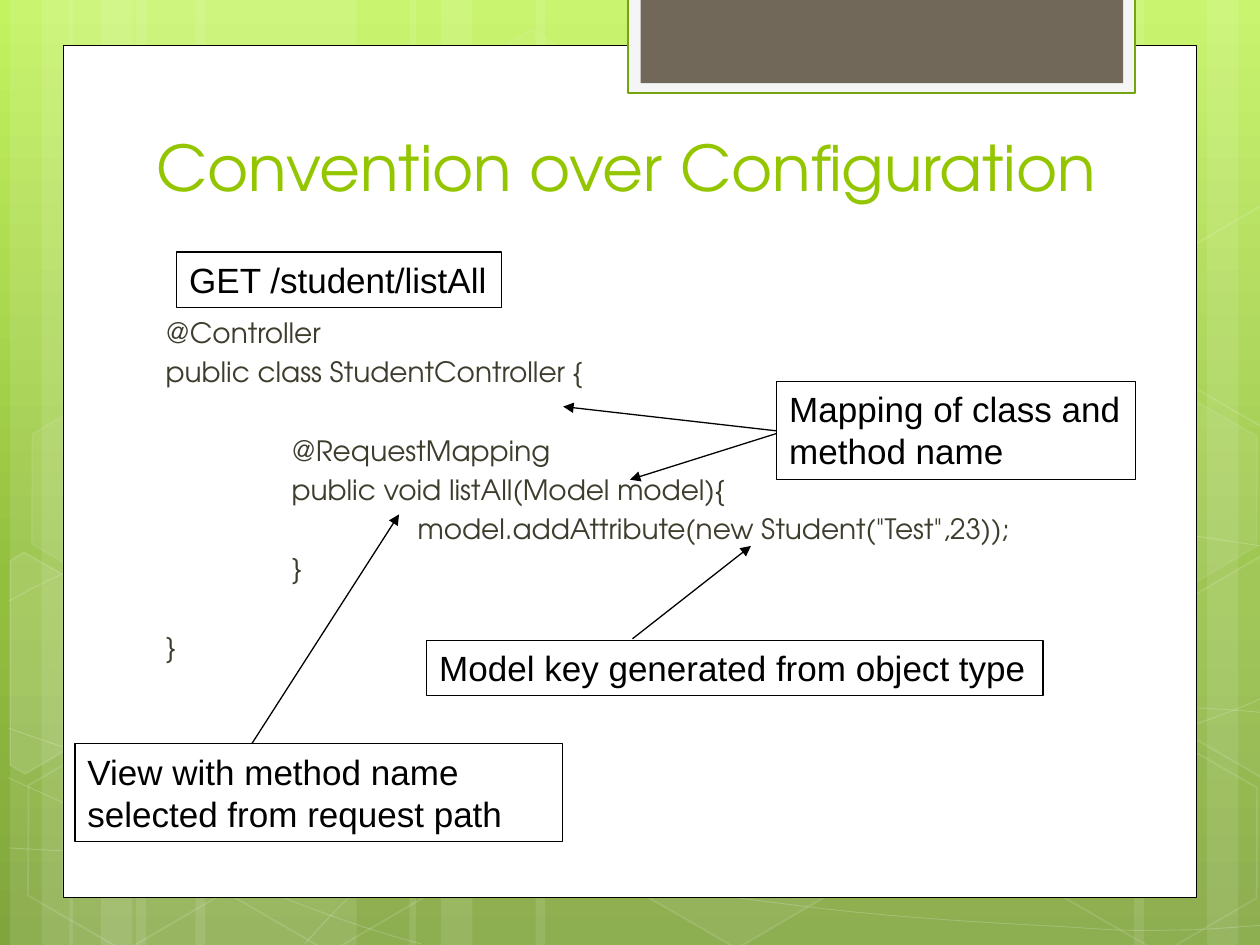
from copy import deepcopy
from math import cos, radians, sin
from typing import NamedTuple

from lxml import etree
from pptx import Presentation
from pptx.dml.color import RGBColor
from pptx.enum.shapes import MSO_CONNECTOR, MSO_SHAPE
from pptx.enum.text import MSO_ANCHOR, PP_ALIGN
from pptx.oxml.ns import qn
from pptx.util import Inches, Pt

RECTANGLE, HEXAGON = MSO_SHAPE.RECTANGLE, MSO_SHAPE.HEXAGON
STRAIGHT = MSO_CONNECTOR.STRAIGHT
LEFT, TOP, BOTTOM = PP_ALIGN.LEFT, MSO_ANCHOR.TOP, MSO_ANCHOR.BOTTOM
WHITE, BLACK = "FFFFFF", "000000"
HEADING_FONT, LABEL_FONT = "TeX Gyre Adventor", "Arial"
TILT = 30

# The slide is a grid of 100 columns and 75 rows
presentation = Presentation()
presentation.slide_width, presentation.slide_height = Inches(10), Inches(7.5)
COLUMN = presentation.slide_width / 100
ROW = presentation.slide_height / 75
slide = presentation.slides.add_slide(presentation.slide_layouts[6])


class Box(NamedTuple):
    column: float
    row: float
    columns: float
    rows: float


class Hexagon(NamedTuple):
    column: float
    row: float
    fill_alpha: int
    line_alpha: int


class CutHexagon(NamedTuple):
    center: tuple
    corners: list
    fill_alpha: int


class Label(NamedTuple):
    box: Box
    lines: list
    wrap: bool = False


class Arrow(NamedTuple):
    start: tuple
    end: tuple


class CodeLine(NamedTuple):
    text: str
    level: int = 0
    skipped: int = 0


def lengths(cells) -> list[int]:
    return [round(n * unit) for n, unit in zip(cells, (COLUMN, ROW) * 2)]


def set_color(color_format, value: str) -> None:
    color_format.rgb = RGBColor.from_string(value)


def paint_fill(fill, parent, color, alpha: int) -> None:
    if not (color and alpha):
        fill.background()
        return
    fill.solid()
    set_color(fill.fore_color, color)
    if alpha < 100:
        color_element = parent.find(qn("a:solidFill")).find(qn("a:srgbClr"))
        etree.SubElement(color_element, qn("a:alpha"), val=str(alpha * 1000))


def paint(shape, fill=None, fill_alpha=100, line=None, width=0.5, line_alpha=100) -> None:
    shape.shadow.inherit = False
    properties = shape._element.spPr
    paint_fill(shape.fill, properties, fill, fill_alpha)
    shape.line.width = Pt(width)
    paint_fill(shape.line.fill, properties.find(qn("a:ln")), line, line_alpha)


def add_box(box: Box, kind=RECTANGLE, **format):
    shape = slide.shapes.add_shape(kind, *lengths(box))
    paint(shape, **format)
    return shape


def add_outline(points: list, closed: bool, **format):
    first, *others = [lengths(point) for point in points]
    builder = slide.shapes.build_freeform(*first)
    builder.add_line_segments(others, close=closed)
    shape = builder.convert_to_shape()
    paint(shape, **format)
    return shape


def bend(shape) -> None:
    """Turn every three straight segments into one Bezier segment."""
    segments = list(shape._element.iter(qn("a:lnTo")))
    for first in range(0, len(segments), 3):
        curve = etree.Element(qn("a:cubicBezTo"))
        segments[first].addprevious(curve)
        for segment in segments[first:first + 3]:
            curve.append(segment[0])
            segment.getparent().remove(segment)


def turn_back(point: tuple, center: tuple) -> tuple:
    x, y = point[0] - center[0], point[1] - center[1]
    c, s = cos(radians(TILT)), sin(radians(TILT))
    return center[0] + x * c + y * s, center[1] - x * s + y * c


def add_text(paragraph, text: str, *, font: str, size: float, color: str,
             before: float = 0, indent: float = 0) -> None:
    paragraph.alignment = LEFT
    paragraph.space_before = Pt(before)
    if indent:
        properties = paragraph._p.get_or_add_pPr()
        properties.set("marL", str(round(indent * COLUMN)))
        properties.set("indent", "0")
    run = paragraph.add_run()
    run.text = text
    run.font.name, run.font.size = font, Pt(size)
    set_color(run.font.color, color)


def add_paragraphs(shape, texts: list, formats: list, anchor=TOP, wrap: bool = True) -> None:
    frame = shape.text_frame
    frame.word_wrap, frame.vertical_anchor = wrap, anchor
    for index, (text, format) in enumerate(zip(texts, formats)):
        add_text(frame.add_paragraph() if index else frame.paragraphs[0], text, **format)


def add_arrow(arrow: Arrow) -> None:
    connector = slide.shapes.add_connector(STRAIGHT, *lengths(arrow.start + arrow.end))
    set_color(connector.line.color, BLACK)
    connector.line.width = Pt(0.75)
    properties = connector._element.spPr
    etree.SubElement(properties.find(qn("a:ln")), qn("a:tailEnd"), type="triangle")
    etree.SubElement(properties, qn("a:effectLst"))


# Background gradient with three stops
background = slide.background.fill
background.gradient()
background.gradient_angle = 270
first_stop = background.gradient_stops[0]._gs
first_stop.addnext(deepcopy(first_stop))
for stop, (position, color) in zip(background.gradient_stops,
                                   ((0, "C3F35F"), (0.62, "93BF3F"), (1, "81A53E"))):
    stop.position = position
    set_color(stop.color, color)

# Translucent vertical stripes: column and width
STRIPES = [(10.8, 17.5), (0.8, 5), (3.3, 8.3), (15.5, 17.5), (5.5, 5), (8, 8.3),
           (73.3, 17.5), (95.8, 5), (90, 8.3), (42.5, 30.8), (32.5, 5), (35, 8.3)]
for column, columns in STRIPES:
    add_box(Box(column, 0, columns, 75), fill=WHITE, fill_alpha=10)

# Fine curves, as Bezier knots
CURVES = [
    [(0.7, 67.3), (6.1, 67.6), (11.5, 67.9), (19, 67.8), (26.5, 67.7), (35.8, 67.5), (45.8, 66.5),
     (55.8, 65.5), (70, 63.6), (79.2, 61.7), (88.3, 59.8), (97.7, 56.8), (100.7, 55.1)],
    [(0.7, 47.7), (3.6, 46.1), (6.5, 44.6), (12.1, 43.1), (17.8, 41.6), (25.9, 39.4), (34.7, 38.7),
     (43.6, 38), (54.4, 37.9), (65.4, 38.7), (76.4, 39.5), (94.7, 42.6), (100.7, 43.4)],
    [(0.6, 61.7), (12.7, 67.2), (24.7, 72.7), (33.4, 74.9)],
    [(0.7, 57.8), (3.8, 58.9), (7, 60), (12.8, 61.6), (18.6, 63.1), (27.3, 65.6), (35.7, 67.3),
     (44, 69), (54.5, 70.8), (62.8, 71.8), (71.1, 72.9), (80, 73.3), (85.3, 73.6),
     (90.5, 74), (91.9, 73.8), (94.5, 73.8), (97.1, 73.7), (98.9, 73.5), (100.7, 73.4)],
    [(24.2, 74.9), (26, 72.9), (27.8, 70.9), (30.2, 69.1), (32.6, 67.3), (36, 65.3), (38.8, 63.9),
     (41.6, 62.5), (43.3, 61.9), (47, 60.9), (50.6, 59.9), (57.3, 58.5), (60.8, 57.8),
     (64.4, 57.1), (64.9, 57.1), (68, 56.9), (71.1, 56.6), (76, 56.3), (79.4, 56.2),
     (84.5, 56.1), (92, 56.1), (95.3, 56.2), (97.1, 56.3), (98.8, 56.4), (100.6, 56.6)],
]
for knots in CURVES:
    bend(add_outline(knots, False, line=WHITE, line_alpha=20))

# Whole hexagons, then those cut by the slide's edges
HEXAGONS = [Hexagon(33.4, 3.6, 4, 8), Hexagon(49.7, 58.9, 6, 12), Hexagon(1.1, 59.1, 0, 12),
            Hexagon(1.4, 31.2, 7, 8), Hexagon(17.4, 59.2, 0, 12), Hexagon(75.3, 45.3, 10, 12),
            Hexagon(83.4, 59.3, 0, 12), Hexagon(83.4, 31.4, 7, 8)]
for hexagon in HEXAGONS:
    shape = add_box(Box(hexagon.column, hexagon.row, 17.5, 15.2), HEXAGON, fill=WHITE,
                    fill_alpha=hexagon.fill_alpha, line=WHITE, width=1, line_alpha=hexagon.line_alpha)
    shape.rotation = TILT
    shape.adjustments[0], shape.adjustments[1] = 0.285, 1.155

RIGHT_CUT = [(92.6, 48.5), (100.1, 44.1), (100.9, 44.6), (100.9, 61.3), (100.2, 61.7), (92.6, 57.3)]
CUT_HEXAGONS = [
    CutHexagon((3.6, 53.5), [(0.8, 44.5), (1.9, 43.8), (9.6, 48.2), (9.5, 57), (2, 61.4), (0.8, 60.7)], 10),
    CutHexagon((98.5, 52), RIGHT_CUT, 4),
    CutHexagon((98.5, 24.1), [(x, y - 27.8) for x, y in RIGHT_CUT], 0),
]
for cut in CUT_HEXAGONS:
    upright = [turn_back(corner, cut.center) for corner in cut.corners]
    add_outline(upright, True, fill=WHITE, fill_alpha=cut.fill_alpha,
                line=WHITE, width=1, line_alpha=12).rotation = TILT

# White page and the tab at its top
add_box(Box(5, 3.6, 90, 67.65), fill=WHITE, line=BLACK)
add_box(Box(49.87, -0.2, 40.2, 7.6), fill="F5F5F5", line="74A510", width=1.25)
add_box(Box(50.85, -0.2, 38.3, 6.8), fill="71685A")

# Title
title = slide.shapes.add_textbox(*lengths(Box(11.43, 4.2, 77.8, 12.5)))
add_paragraphs(title, ["Convention over Configuration"],
               [dict(font=HEADING_FONT, size=36, color="94C600")], anchor=BOTTOM)

# Code: each level is indented by ten columns, skipped lines become spacing
CODE = [CodeLine("@Controller"), CodeLine("public class StudentController {"),
        CodeLine("@RequestMapping", 1, 1), CodeLine("public void listAll(Model model){", 1),
        CodeLine('model.addAttribute(new Student("Test",23));', 2), CodeLine("}", 1),
        CodeLine("}", 0, 1)]
LINE_PITCH, LINE_GAP = 22.4, 3.2
code = slide.shapes.add_textbox(*lengths(Box(11.46, 24.56, 74.1, 42.1)))
add_paragraphs(code, [line.text for line in CODE], [
    dict(font=HEADING_FONT, size=16, color="3E3D2D", indent=0.7 + 10 * line.level,
         before=LINE_GAP + LINE_PITCH * line.skipped if index else 0)
    for index, line in enumerate(CODE)])

# Framed labels and their arrows
LABELS = [
    Label(Box(14.03, 20, 25.8, 4.4), ["GET /student/listAll"]),
    Label(Box(61.65, 30.27, 28.5, 7.8), ["Mapping of class and", "method name"]),
    Label(Box(5.95, 59.03, 38.7, 7.75), ["View with method name selected from request path"], True),
    Label(Box(33.87, 50.83, 48.9, 4.4), ["Model key generated from object type"]),
]
for label in LABELS:
    add_paragraphs(add_box(label.box, line=BLACK, width=0.75), label.lines,
                   [dict(font=LABEL_FONT, size=20, color=BLACK)] * len(label.lines), wrap=label.wrap)

ARROWS = [Arrow((61.65, 34.2), (44.7, 32.27)), Arrow((61.65, 34.4), (50, 38.07)),
          Arrow((20, 59), (31.67, 40.83)), Arrow((50.2, 50.7), (59.6, 43.33))]
for arrow in ARROWS:
    add_arrow(arrow)

presentation.save("out.pptx")
